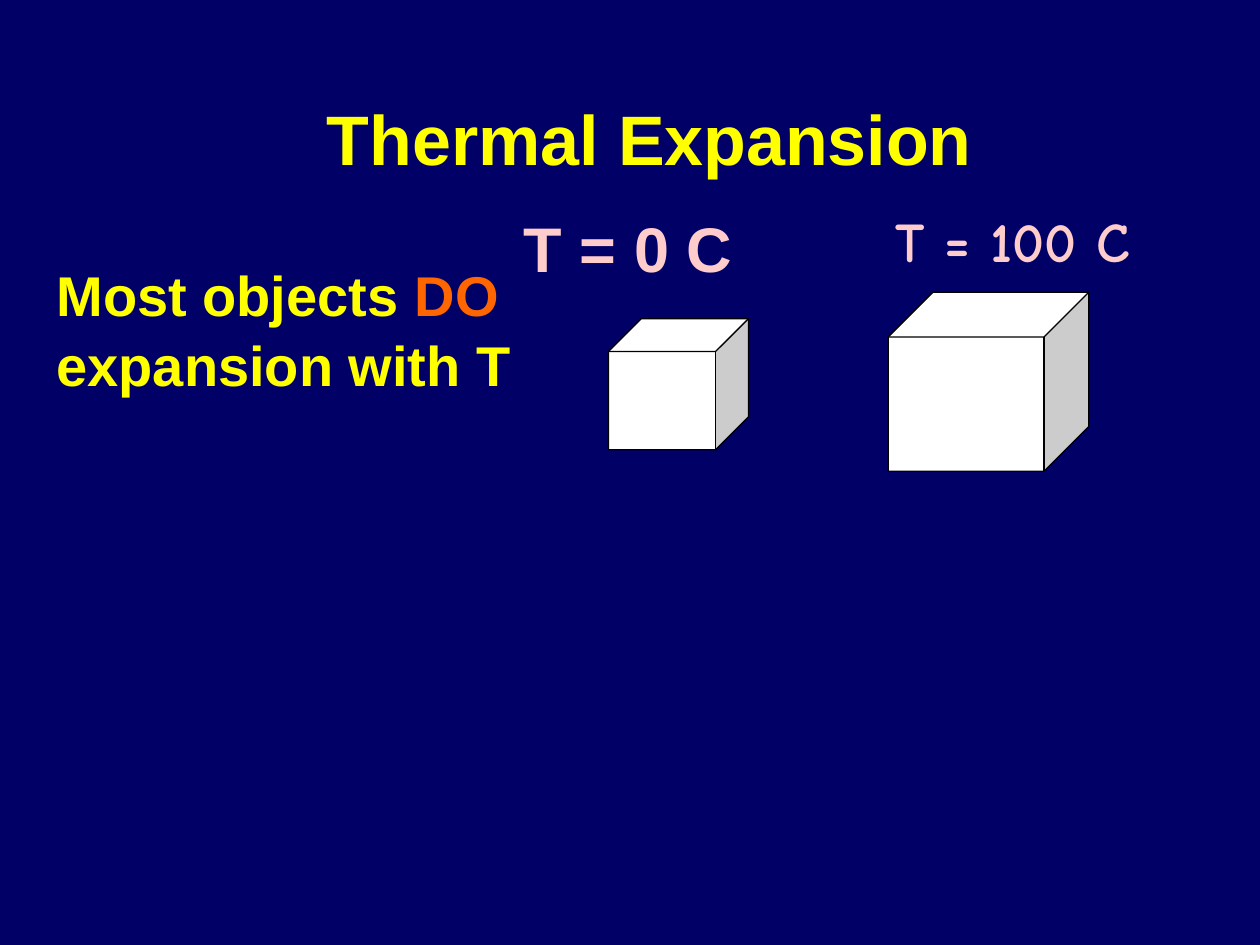
from dataclasses import dataclass

from pptx import Presentation
from pptx.dml.color import RGBColor
from pptx.enum import shapes, text
from pptx.util import Inches, Pt


@dataclass(frozen=True)
class Theme:
    background: str = "000066"
    heading: str = "FFFF00"
    label: str = "FFCCCC"
    emphasis: str = "FF6600"
    cube: str = "FFFFFF"
    outline: str = "000000"
    font: str = "Arial"
    hand_font: str = "Comic Neue"
    title_size: int = 40
    label_size: int = 36
    body_size: int = 32


THEME = Theme()


def place(shape, box):
    shape.left, shape.top, shape.width, shape.height = map(Inches, box)


def write(shape, parts, size, font=THEME.font, align=text.PP_ALIGN.LEFT, wrap=True):
    frame = shape.text_frame
    frame.word_wrap = wrap
    frame.auto_size = text.MSO_AUTO_SIZE.NONE
    frame.vertical_anchor = text.MSO_ANCHOR.TOP
    paragraph = frame.paragraphs[0]
    paragraph.alignment = align
    paragraph.line_spacing = 1.04
    for words, color in parts:
        run = paragraph.add_run()
        run.text = words
        run.font.name = font
        run.font.size = Pt(size)
        run.font.bold = True
        run.font.color.rgb = RGBColor.from_string(color)


def add_title(slide, box):
    title = slide.shapes.title
    place(title, box)
    write(title, [("Thermal Expansion ", THEME.heading)], THEME.title_size,
          align=text.PP_ALIGN.CENTER)


def add_statement(slide, box):
    statement = slide.shapes.add_textbox(*map(Inches, box))
    write(statement, [("Most objects ", THEME.heading), ("DO", THEME.emphasis),
                      (" expansion with T", THEME.heading)], THEME.body_size)


def add_cube(slide, box):
    cube = slide.shapes.add_shape(shapes.MSO_SHAPE.CUBE, *map(Inches, box))
    cube.shadow.inherit = False
    cube.adjustments[0] = 0.25
    cube.fill.solid()
    cube.fill.fore_color.rgb = RGBColor.from_string(THEME.cube)
    cube.line.color.rgb = RGBColor.from_string(THEME.outline)
    cube.line.width = Pt(0.75)


def add_temperature(slide, box, words, size, font):
    label = slide.shapes.add_textbox(*map(Inches, box))
    write(label, [(words, THEME.label)], size, font, wrap=False)


def main():
    presentation = Presentation()
    presentation.slide_width = Inches(10)
    presentation.slide_height = Inches(7.5)
    slide = presentation.slides.add_slide(presentation.slide_layouts.get_by_name("Title Only"))
    slide.background.fill.solid()
    slide.background.fill.fore_color.rgb = RGBColor.from_string(THEME.background)

    add_title(slide, (2.16, 0.68, 6.14, 0.77))
    add_cube(slide, (4.83, 2.53, 1.11, 1.04))
    add_temperature(slide, (4.06, 1.59, 2.48, 0.7), "T = 0 C", THEME.label_size, THEME.font)
    add_cube(slide, (7.05, 2.32, 1.59, 1.42))
    add_temperature(slide, (7.01, 1.57, 2.69, 0.64), "T = 100 C", THEME.body_size,
                    THEME.hand_font)
    add_statement(slide, (0.35, 2, 3.9, 1.17))
    presentation.save("out.pptx")


if __name__ == "__main__":
    main()
